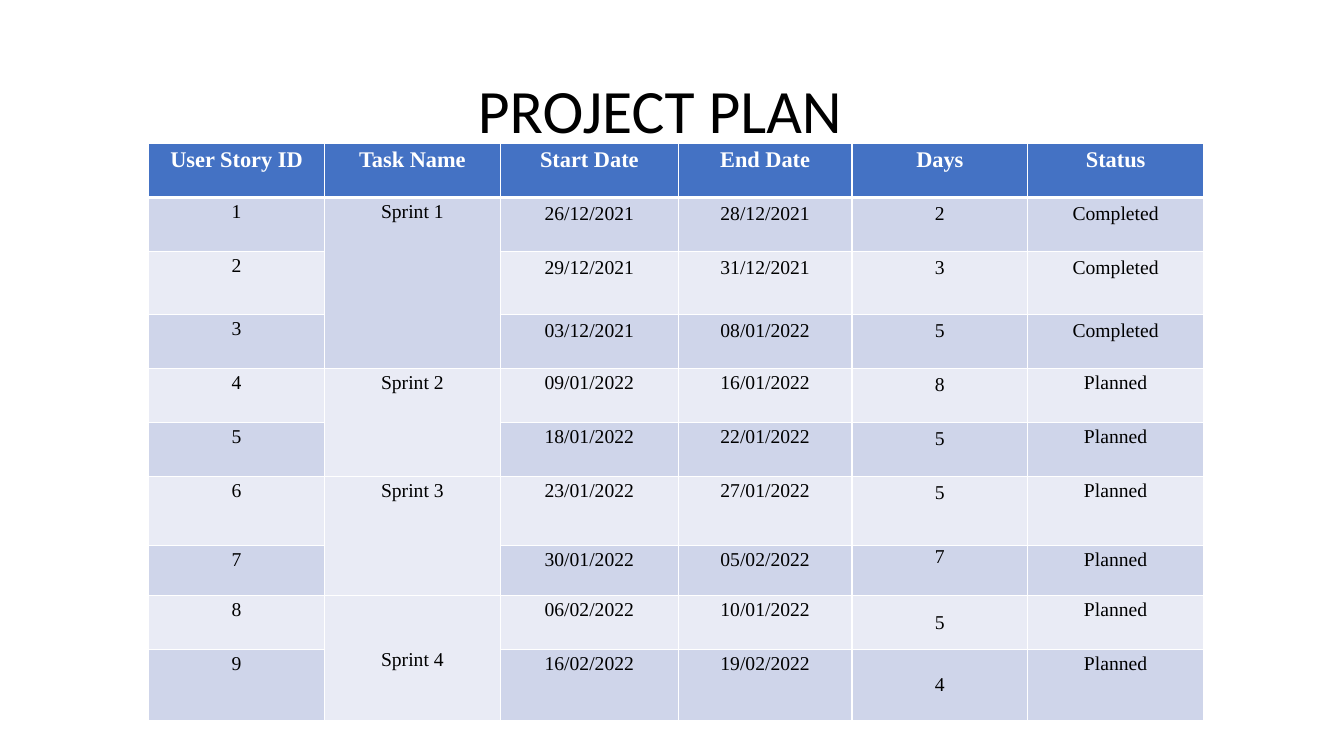
from dataclasses import dataclass

from lxml.etree import SubElement
from pptx import Presentation
from pptx.dml.color import RGBColor
from pptx.enum.text import MSO_ANCHOR, PP_ALIGN
from pptx.oxml.ns import qn
from pptx.util import Pt


@dataclass(frozen=True)
class Theme:
    ink: str = "000000"
    white: str = "FFFFFF"
    header: str = "4472C4"
    bands: tuple = ("CFD5EA", "E9EBF5")
    title_font: str = "Calibri"
    table_font: str = "Times New Roman"
    title_size: float = 44
    header_size: float = 16
    body_size: float = 14
    border: float = 1
    header_rule: float = 3


THEME = Theme()
TIGHT = (5, 0)
LOOSE = (7.5, 3.6)

COLUMN_WIDTHS = (125.6, 125.6, 127.2, 124, 125.6, 125.6)
ROW_HEIGHTS = (38.6, 38.6, 45, 38.6, 38.6, 38.6, 49.3, 35.7, 38.6, 50.7)
HEADERS = ("User Story ID", "Task Name", "Start Date", "End Date", "Days", "Status")
DAYS_COLUMN = HEADERS.index("Days")
SPRINTS = (
    ("Sprint 1", (
        ("26/12/2021", "28/12/2021", "2", "Completed"),
        ("29/12/2021", "31/12/2021", "3", "Completed"),
        ("03/12/2021", "08/01/2022", "5", "Completed"),
    )),
    ("Sprint 2", (
        ("09/01/2022", "16/01/2022", "8", "Planned"),
        ("18/01/2022", "22/01/2022", "5", "Planned"),
    )),
    ("Sprint 3", (
        ("23/01/2022", "27/01/2022", "5", "Planned"),
        ("30/01/2022", "05/02/2022", "7", "Planned"),
    )),
    ("Sprint 4", (
        ("06/02/2022", "10/01/2022", "5", "Planned"),
        ("16/02/2022", "19/02/2022", "4", "Planned"),
    )),
)


def write(tf, text, *, font, size, color, bold=False, spacing=1.0):
    p = tf.paragraphs[0]
    p.alignment = PP_ALIGN.CENTER
    p.line_spacing = spacing
    r = p.add_run()
    r.text = text
    r.font.name = font
    r.font.size = Pt(size)
    r.font.bold = bold
    r.font.color.rgb = RGBColor.from_string(color)


def add_title(s, text):
    sp = s.shapes.add_textbox(Pt(66), Pt(28.8), Pt(811), Pt(104.4))
    tf = sp.text_frame
    tf.word_wrap = True
    tf.vertical_anchor = MSO_ANCHOR.MIDDLE
    write(tf, text, font=THEME.title_font, size=THEME.title_size,
          color=THEME.ink, spacing=0.9)


def paint_cell(cell, row):
    tc_pr = cell._tc.get_or_add_tcPr()
    thick_side = {0: "B", 1: "T"}.get(row)
    for side in "LRTB":
        width = THEME.header_rule if side == thick_side else THEME.border
        ln = SubElement(tc_pr, qn(f"a:ln{side}"), w=str(Pt(width)))
        fill = SubElement(ln, qn("a:solidFill"))
        SubElement(fill, qn("a:srgbClr"), val=THEME.white)
    color = THEME.bands[(row - 1) % 2] if row else THEME.header
    cell.fill.solid()
    cell.fill.fore_color.rgb = RGBColor.from_string(color)


def fill_cell(cell, text, *, margins=TIGHT, anchor=MSO_ANCHOR.TOP,
              size=THEME.body_size, color=THEME.ink, bold=False, spacing=1.15):
    cell.margin_left = cell.margin_right = Pt(margins[0])
    cell.margin_top = cell.margin_bottom = Pt(margins[1])
    cell.vertical_anchor = anchor
    write(cell.text_frame, text, font=THEME.table_font, size=size,
          color=color, bold=bold, spacing=spacing)


def detail_format(row, column):
    is_days = column == DAYS_COLUMN
    loose = row <= 3 or (is_days and row <= 6)
    return {
        "margins": LOOSE if loose else TIGHT,
        "spacing": 1.0 if loose or is_days else 1.15,
        "anchor": MSO_ANCHOR.MIDDLE if is_days and row >= 8 else MSO_ANCHOR.TOP,
    }


def add_plan_table(s):
    frame = s.shapes.add_table(len(ROW_HEIGHTS), len(COLUMN_WIDTHS), Pt(106.2), Pt(102.5),
                               Pt(sum(COLUMN_WIDTHS)), Pt(sum(ROW_HEIGHTS)))
    table = frame.table
    for column, width in zip(table.columns, COLUMN_WIDTHS):
        column.width = Pt(width)
    for row, height in enumerate(ROW_HEIGHTS):
        table.rows[row].height = Pt(height)
        for cell in table.rows[row].cells:
            paint_cell(cell, row)

    for column, text in enumerate(HEADERS):
        fill_cell(table.cell(0, column), text, size=THEME.header_size,
                  color=THEME.white, bold=True)

    row = 1
    for sprint, stories in SPRINTS:
        sprint_cell = table.cell(row, 1)
        sprint_cell.merge(table.cell(row + len(stories) - 1, 1))
        last = sprint == SPRINTS[-1][0]
        fill_cell(sprint_cell, sprint,
                  anchor=MSO_ANCHOR.MIDDLE if last else MSO_ANCHOR.TOP)
        for story in stories:
            fill_cell(table.cell(row, 0), str(row))
            for column, text in enumerate(story, start=2):
                fill_cell(table.cell(row, column), text, **detail_format(row, column))
            row += 1


def main():
    prs = Presentation()
    prs.slide_width, prs.slide_height = Pt(960), Pt(540)
    s = prs.slides.add_slide(prs.slide_layouts[6])
    add_title(s, "PROJECT PLAN")
    add_plan_table(s)
    prs.save("out.pptx")


if __name__ == "__main__":
    main()
